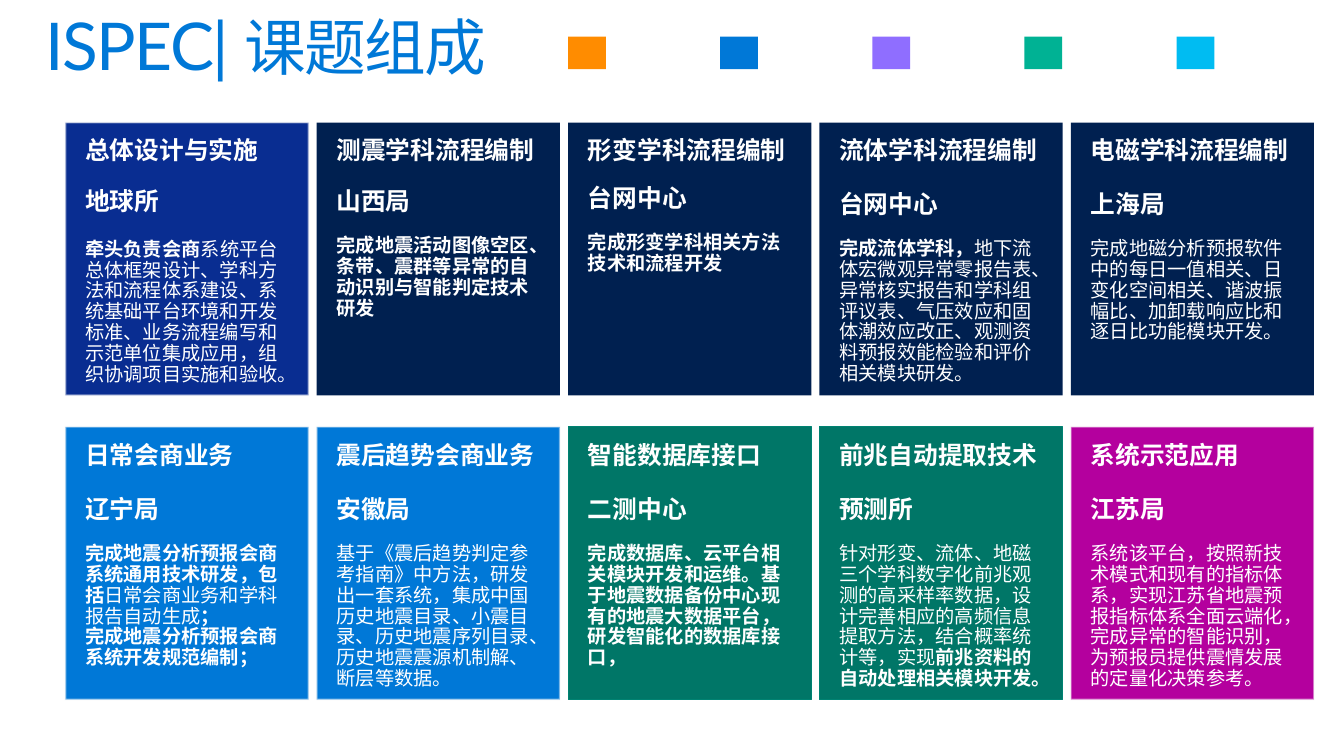
import pptx
import pptx.util
import pptx.dml.color
import pptx.enum.shapes
import pptx.enum.text
import pptx.oxml
import pptx.oxml.ns

Cm, Pt = pptx.util.Cm, pptx.util.Pt
RGBColor = pptx.dml.color.RGBColor
Shape = pptx.enum.shapes.MSO_SHAPE

WHITE = RGBColor(0xFF, 0xFF, 0xFF)
PALE = RGBColor(0xF9, 0xF9, 0xF9)
NAVY = RGBColor(0x00, 0x20, 0x50)
INDIGO = RGBColor(0x09, 0x2D, 0x91)
BLUE = RGBColor(0x00, 0x78, 0xD7)
GREEN = RGBColor(0x00, 0x76, 0x67)
TEAL = RGBColor(0x00, 0x82, 0x72)
MAGENTA = RGBColor(0xB4, 0x00, 0x9E)
ORANGE = RGBColor(0xFF, 0x8C, 0x00)
VIOLET = RGBColor(0x8F, 0x6E, 0xFF)
MINT = RGBColor(0x00, 0xB2, 0x94)
CYAN = RGBColor(0x00, 0xBC, 0xF2)

# Border of each card colour: line colour, width in points, opacity in percent
BORDERS = {
    INDIGO: (PALE, 1.35, 50),
    BLUE: (PALE, 1.35, 50),
    MAGENTA: (PALE, 1.35, 50),
    GREEN: (TEAL, 0.75, 100),
}

# Cards, row by row: fill, topic, institute, space before institute and before
# duties (points), duties as paragraphs of (text, bold) spans
CARDS = [
    [
        (INDIGO, "总体设计与实施", "地球所", 17.3, 17.6, [[
            ("牵头负责会商", True),
            ("系统平台总体框架设计、学科方法和流程体系建设、系统基础平台环境和开发标准、"
             "业务流程编写和示范单位集成应用，组织协调项目实施和验收。", False)]]),
        (NAVY, "测震学科流程编制", "山西局", 17.3, 15.1, [[
            ("完成地震活动图像空区、条带、震群等异常的自动识别与智能判定技术研发", True)]]),
        (NAVY, "形变学科流程编制", "台网中心", 15.1, 15.1, [[
            ("完成形变学科相关方法技术和流程开发", True)]]),
        (NAVY, "流体学科流程编制", "台网中心", 19.4, 15.1, [[
            ("完成流体学科，", True),
            ("地下流体宏微观异常零报告表、异常核实报告和学科组评议表、气压效应和固体潮效应改正、"
             "观测资料预报效能检验和评价相关模块研发。", False)]]),
        (NAVY, "电磁学科流程编制", "上海局", 19.4, 15.1, [[
            ("完成地磁分析预报软件中的每日一值相关、日变化空间相关、谐波振幅比、"
             "加卸载响应比和逐日比功能模块开发。", False)]]),
    ],
    [
        (BLUE, "日常会商业务", "辽宁局", 19.9, 15.1, [
            [("完成地震分析预报会商系统通用技术研发，包括", True),
             ("日常会商业务和学科报告自动生成", False),
             ("；", True)],
            [("完成地震分析预报会商系统开发规范编制；", True)]]),
        (BLUE, "震后趋势会商业务", "安徽局", 19.9, 15.1, [[
            ("基于《震后趋势判定参考指南》中方法，研发出一套系统，集成中国历史地震目录、小震目录、"
             "历史地震序列目录、历史地震震源机制解、断层等数据。", False)]]),
        (GREEN, "智能数据库接口", "二测中心", 19.9, 15.1, [[
            ("完成数据库、云平台相关模块开发和运维。基于地震数据备份中心现有的地震大数据平台，"
             "研发智能化的数据库接口，", True)]]),
        (GREEN, "前兆自动提取技术", "预测所", 19.9, 15.1, [[
            ("针对形变、流体、地磁三个学科数字化前兆观测的高采样率数据，设计完善相应的高频信息提取方法，"
             "结合概率统计等，实现", False),
            ("前兆资料的自动处理相关模块开发。", True)]]),
        (MAGENTA, "系统示范应用", "江苏局", 19.9, 15.1, [[
            ("系统该平台，按照新技术模式和现有的指标体系，实现江苏省地震预报指标体系全面云端化，"
             "完成异常的智能识别，为预报员提供震情发展的定量化决策参考。", False)]]),
    ],
]


class CardPage:
    """The style of the slide and the slide being filled."""

    font = "Lato"
    line_spacing = 0.9

    def __init__(self, deck):
        self.page = deck.slides.add_slide(deck.slide_layouts[5])

    def frame(self, shape, side, top):
        frame = shape.text_frame
        frame.word_wrap = True
        frame.auto_size = pptx.enum.text.MSO_AUTO_SIZE.NONE
        frame.vertical_anchor = pptx.enum.text.MSO_ANCHOR.TOP
        frame.margin_left = frame.margin_right = Cm(side)
        frame.margin_top = frame.margin_bottom = Cm(top)
        return frame

    def fill_para(self, para, spans, color, before=0):
        """Fill a paragraph with (text, size, bold) spans."""
        para.alignment = pptx.enum.text.PP_ALIGN.LEFT
        para.line_spacing = self.line_spacing
        para.space_before = Pt(before)
        for text, size, bold in spans:
            span = para.add_run()
            span.text = text
            span.font.size = Pt(size)
            span.font.bold = bold
            span.font.color.rgb = color
            span.font.name = self.font
            east_asian = pptx.oxml.parse_xml(
                f'<a:ea {pptx.oxml.ns.nsdecls("a")} typeface="{self.font}"/>')
            span.font._element.append(east_asian)

    def title(self, spans):
        shape = self.page.shapes.title
        shape.left, shape.top = Cm(0.76), Cm(0.1)
        shape.width, shape.height = Cm(33.02), Cm(2.54)
        para = self.frame(shape, 0.41, 0.25).paragraphs[0]
        self.fill_para(para, spans, BLUE)
        for span in para.runs:
            span.font._element.set("spc", "-110")

    def block(self, kind, left, top, width, height, fill):
        shape = self.page.shapes.add_shape(
            kind, Cm(left), Cm(top), Cm(width), Cm(height))
        shape.shadow.inherit = False
        shape.fill.solid()
        shape.fill.fore_color.rgb = fill
        shape.line.fill.background()
        return shape

    def border(self, shape, color, width, opacity):
        shape.line.color.rgb = color
        shape.line.width = Pt(width)
        if opacity < 100:
            line = shape.line._get_or_add_ln()
            tint = line.find(".//" + pptx.oxml.ns.qn("a:srgbClr"))
            tint.append(pptx.oxml.parse_xml(
                f'<a:alpha {pptx.oxml.ns.nsdecls("a")} val="{opacity * 1000}"/>'))

    def card(self, left, top, fill, topic, institute, topic_gap, duty_gap, duties):
        box = self.block(Shape.ROUNDED_RECTANGLE, left, top, 6.25, 7.01, fill)
        box.adjustments[0] = 0
        if fill in BORDERS:
            self.border(box, *BORDERS[fill])
        frame = self.frame(box, 0.51, 0.41)
        self.fill_para(frame.paragraphs[0], [(topic, 18, True)], WHITE)
        self.fill_para(frame.add_paragraph(), [(institute, 18, True)], WHITE, topic_gap)
        for number, duty in enumerate(duties):
            spans = [(text, 14, bold) for text, bold in duty]
            self.fill_para(frame.add_paragraph(), spans, WHITE,
                           0 if number else duty_gap)


def main():
    deck = pptx.Presentation()
    deck.slide_width, deck.slide_height = Cm(34.54), Cm(19.43)
    page = CardPage(deck)

    # Heading
    page.title([("ISPEC| ", 48, False), ("课题组成", 44.9, False)])

    # Colour swatches beside the heading
    for column, color in enumerate([ORANGE, BLUE, VIOLET, MINT, CYAN]):
        page.block(Shape.RECTANGLE, 14.6 + 3.91 * column, 0.94, 0.97, 0.84, color)

    # Two rows of project cards
    for row, cards in enumerate(CARDS):
        for column, card in enumerate(cards):
            page.card(1.68 + 6.46 * column, 3.15 + 7.82 * row, *card)

    deck.save("out.pptx")


if __name__ == "__main__":
    main()
